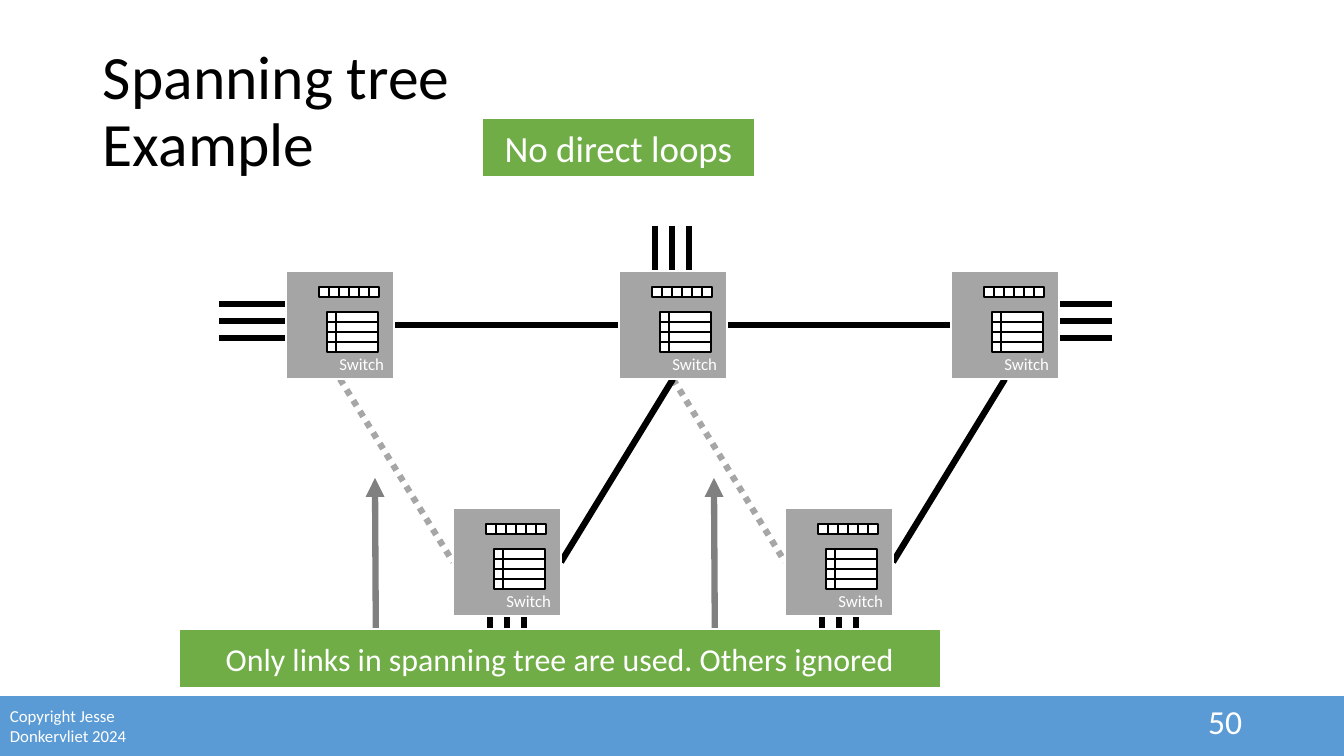
from pptx import Presentation
from pptx.dml.color import RGBColor
from pptx.enum.dml import MSO_LINE
from pptx.enum.shapes import MSO_CONNECTOR, MSO_SHAPE
from pptx.enum.text import MSO_ANCHOR as ANCHOR, PP_ALIGN as ALIGN
from pptx.oxml.ns import qn
from pptx.util import Pt
from lxml.etree import SubElement

EMU_PER_PX = 9071.43
COLORS = {
    "white": "FFFFFF", "black": "000000", "footer": "5B9BD5", "banner": "70AD47",
    "switch": "A5A5A5", "ignored": "A6A6A6", "arrow": "808080",
}
TOP_ROW, BOTTOM_ROW, SWITCH = 271, 508, 108
LEFT, BOTTOM, RIGHT = 1, 2, 3


def px(*lengths):
    return [round(length * EMU_PER_PX) for length in lengths]


def color(name):
    return RGBColor.from_string(COLORS[name])


class SlideBuilder:
    """Draws the elements of a network slide in one shared style."""

    def __init__(self, page, font="Calibri"):
        self.page = page
        self.font = font

    def group(self):
        return self.page.shapes.add_group_shape()

    def label(self, shape, words, size, ink="white", align=ALIGN.LEFT, anchor=ANCHOR.MIDDLE):
        frame = shape.text_frame
        frame.word_wrap = True
        frame.vertical_anchor = anchor
        para = frame.paragraphs[0]
        para.text = words
        para.alignment = align
        para.font.name = self.font
        para.font.size = Pt(size)
        para.font.color.rgb = color(ink)
        return para

    def text(self, bounds, words, size, **style):
        box = self.page.shapes.add_textbox(*px(*bounds))
        return self.label(box, words, size, **style)

    def rect(self, bounds, fill, border="white", weight=1.5, parent=None):
        shapes = (parent or self.page).shapes
        box = shapes.add_shape(MSO_SHAPE.RECTANGLE, *px(*bounds))
        box.shadow.inherit = False
        box.fill.solid()
        box.fill.fore_color.rgb = color(fill)
        box.line.color.rgb = color(border)
        box.line.width = Pt(weight)
        return box

    def banner(self, bounds, words, size):
        self.label(self.rect(bounds, "banner"), words, size, align=ALIGN.CENTER)

    def line(self, points, ink="black", parent=None):
        shapes = (parent or self.page).shapes
        line = shapes.add_connector(MSO_CONNECTOR.STRAIGHT, *points)
        line.line.color.rgb = color(ink)
        line.line.width = Pt(4.5)
        SubElement(line.element.spPr, qn("a:effectLst"))
        return line

    def arrow(self, *points):
        line = self.line(px(*points), "arrow")
        SubElement(line.element.spPr.find(qn("a:ln")), qn("a:tailEnd"), type="triangle")

    def stubs(self, x1, y1, x2, y2):
        cables = self.group()
        dx, dy = (17, 0) if x1 == x2 else (0, 17)
        for step in (-1, 0, 1):
            x, y = step * dx, step * dy
            self.line(px(x1 + x, y1 + y, x2 + x, y2 + y), parent=cables)

    def switch(self, left, top):
        parts = self.group()
        body = self.rect((left, top, SWITCH, SWITCH), "switch", parent=parts)
        self.label(body, "Switch", 12, align=ALIGN.RIGHT, anchor=ANCHOR.BOTTOM)
        ports = [(33 + 10 * port, 16, 10, 10) for port in range(6)]
        cells = [(x, 41 + 10 * row, 42, 10) for x in (41, 50) for row in range(4)]
        for x, y, width, height in ports + cells:
            self.rect((left + x, top + y, width, height), "white", "black", 1, parts)
        return body

    def link(self, start, start_side, end, end_side, parent, used=True):
        points = [*self.side(start, start_side), *self.side(end, end_side)]
        line = self.line(points, "black" if used else "ignored", parent)
        if not used:
            line.line.dash_style = MSO_LINE.ROUND_DOT
        line.begin_connect(start, start_side)
        line.end_connect(end, end_side)

    def side(self, box, number):
        across = {LEFT: 0, BOTTOM: box.width // 2, RIGHT: box.width}[number]
        down = box.height if number == BOTTOM else box.height // 2
        return box.left + across, box.top + down


def main():
    deck = Presentation()
    deck.slide_width, deck.slide_height = px(1344, 756)
    slide = SlideBuilder(deck.slides.add_slide(deck.slide_layouts[6]))

    slide.rect((-31, 695, 1406, 81), "footer")
    slide.text((0, 701, 148, 50), "Copyright Jesse Donkervliet 2024", 12)
    slide.text((950, 701, 302, 40), "50", 24, align=ALIGN.RIGHT)
    title = slide.text((93, 40, 1159, 146), "Spanning tree\vExample", 44, ink="black")
    title.line_spacing = 0.9
    slide.banner((482, 118, 273, 59), "No direct loops", 26.4)

    for ends in ((672, 226, 672, 309), (1112, 321, 1029, 321), (839, 585, 839, 668),
                 (507, 585, 507, 668), (302, 321, 219, 321)):
        slide.stubs(*ends)

    links = slide.group()
    west, center, east = [slide.switch(left, TOP_ROW) for left in (286, 619, 951)]
    southwest, southeast = [slide.switch(left, BOTTOM_ROW) for left in (453, 785)]
    for upper, lower in ((west, southwest), (center, southeast)):
        slide.link(upper, BOTTOM, lower, LEFT, links, used=False)
    for upper, lower in ((center, southwest), (east, southeast)):
        slide.link(upper, BOTTOM, lower, RIGHT, links)
    for first, second in ((west, center), (center, east)):
        slide.link(first, RIGHT, second, LEFT, links)

    for x in (376, 715):
        slide.arrow(x, 657, x - 1, 478)
    slide.banner((179, 629, 762, 59), "Only links in spanning tree are used. Others ignored", 22.8)

    deck.save("out.pptx")


if __name__ == "__main__":
    main()
